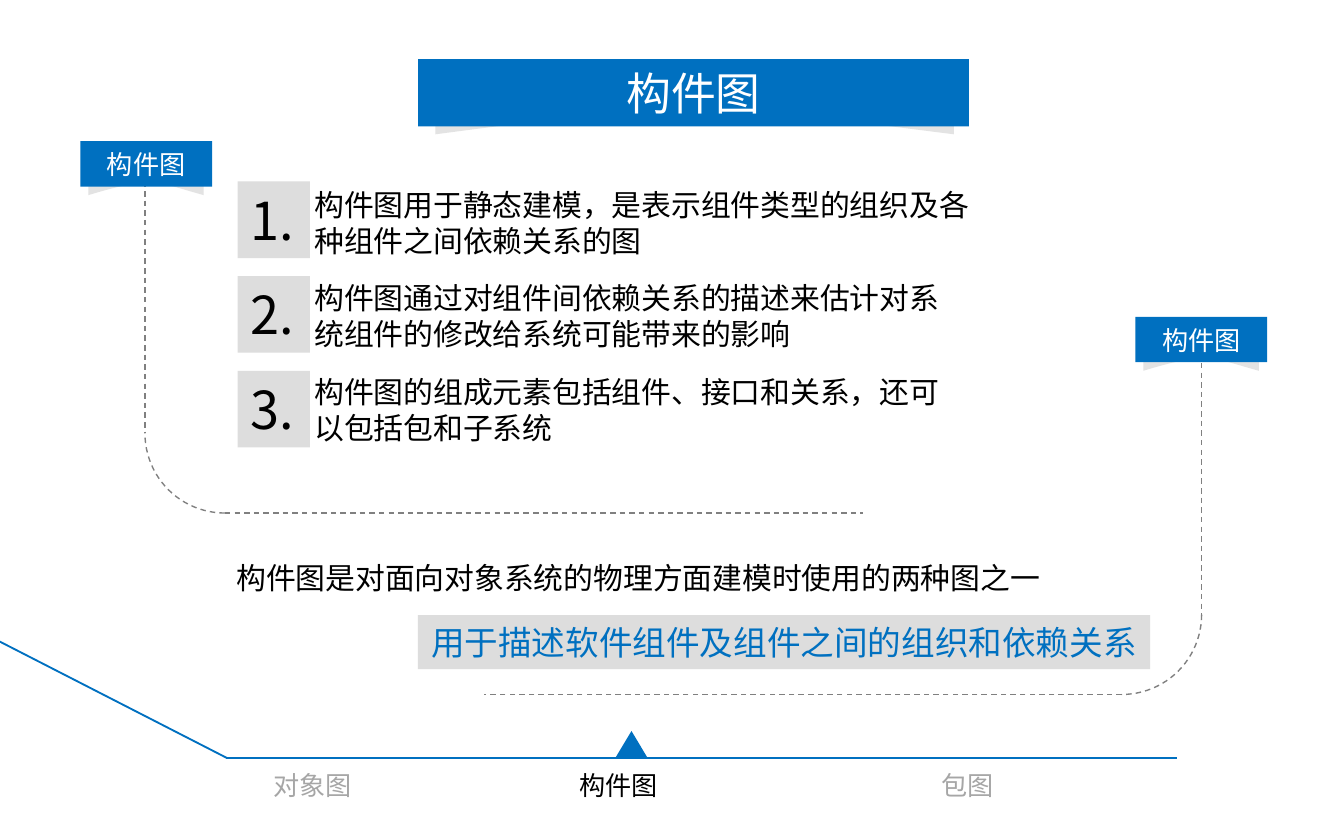
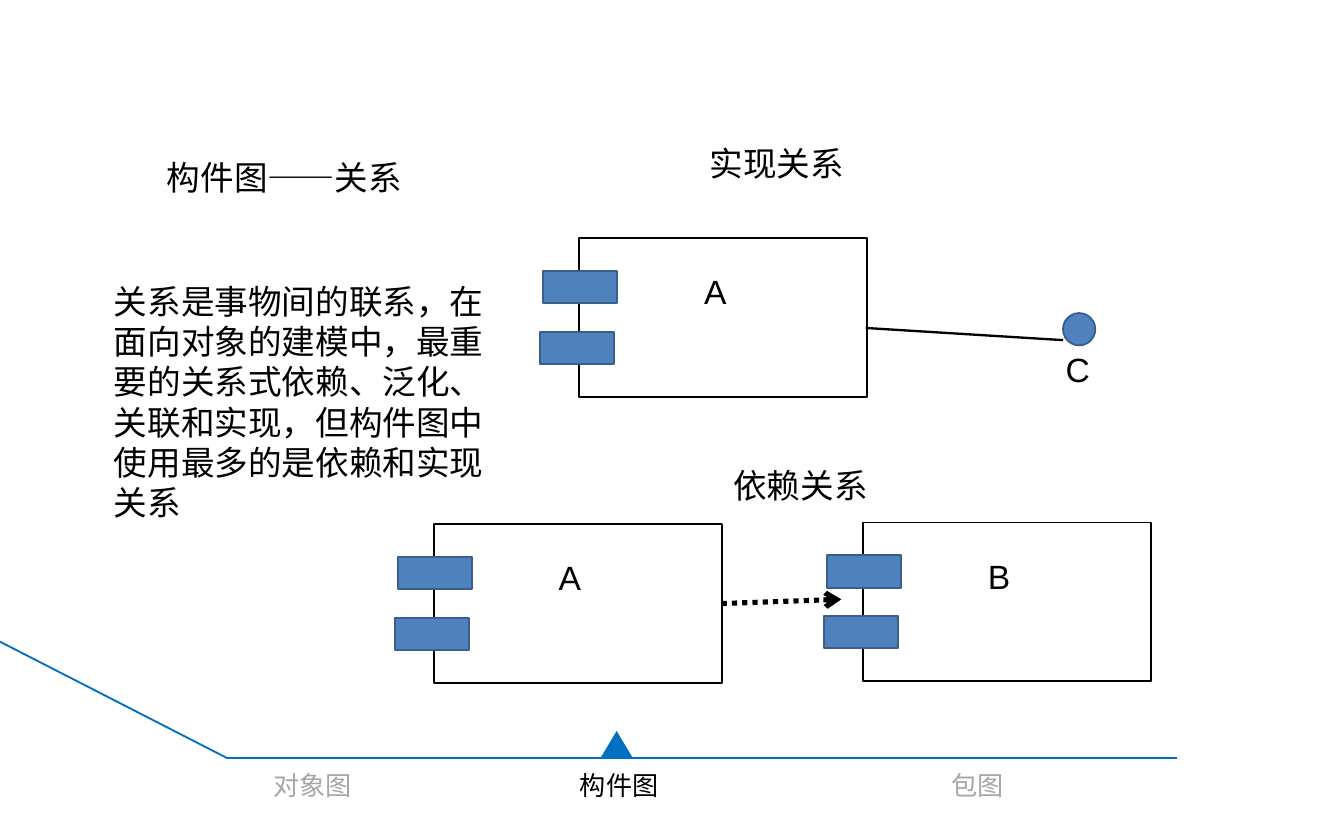
from pptx import Presentation
from pptx.dml.color import RGBColor
from pptx.enum.dml import MSO_LINE
from pptx.enum.shapes import MSO_CONNECTOR, MSO_SHAPE
from pptx.enum.text import MSO_ANCHOR, MSO_AUTO_SIZE, PP_ALIGN
from pptx.oxml.ns import qn
from pptx.util import Cm, Pt
from lxml.etree import SubElement

BLUE = RGBColor(0x00, 0x70, 0xC0)
GREY = RGBColor(0xDD, 0xDD, 0xDD)
MUTED = RGBColor(0xA6, 0xA6, 0xA6)
DASH = RGBColor(0x80, 0x80, 0x80)
BLACK = RGBColor(0, 0, 0)
WHITE = RGBColor(0xFF, 0xFF, 0xFF)
STEEL = RGBColor(0x4F, 0x81, 0xBD)
NAVY = RGBColor(0x3A, 0x5F, 0x8C)
KARLA, NOTO, ARIAL = "Karla", "Noto Sans CJK SC", "Arial"

# Content; places and sizes are in centimetres
TOPIC = "构件图"
POINTS = [
    "构件图用于静态建模，是表示组件类型的组织及各种组件之间依赖关系的图",
    "构件图通过对组件间依赖关系的描述来估计对系统组件的修改给系统可能带来的影响",
    "构件图的组成元素包括组件、接口和关系，还可以包括包和子系统",
]
WIDTHS = [13.21, 12.7, 12.7]
SUMMARY = "构件图是对面向对象系统的物理方面建模时使用的两种图之一"
PURPOSE = "用于描述软件组件及组件之间的组织和依赖关系"
HEADING = "构件图——关系"
BODY = ("关系是事物间的联系，在面向对象的建模中，最重要的关系式依赖、泛化、"
        "关联和实现，但构件图中使用最多的是依赖和实现关系")
# Footer steps: text, left, width
STEPS_1 = [("对象图", 3.71, 4.39), (TOPIC, 8.76, 5.87), ("包图", 15.29, 5.99)]
STEPS_2 = [("对象图", 3.71, 4.39), (TOPIC, 8.71, 5.99), ("包图", 15.54, 5.87)]
# Tags: left, top
TAGS = [(1.52, 2.67), (21.46, 5.99)]
# Brackets: side x, top, base y, far end x, arc start and end in degrees
CURVES = [(2.74, 3.43, 9.7, 16.31, 90, 180), (22.71, 6.86, 13.13, 9.14, 0, 90)]
RADIUS = 1.51


def write(shape, text, size, font=KARLA, color=BLACK, align=PP_ALIGN.LEFT,
          anchor=MSO_ANCHOR.TOP, wrap=True):
    frame = shape.text_frame
    frame.text = text
    frame.word_wrap = wrap
    frame.auto_size = MSO_AUTO_SIZE.NONE
    frame.vertical_anchor = anchor
    para = frame.paragraphs[0]
    para.alignment = align
    para.space_before = Pt(0)
    para.font.size, para.font.name = Pt(size), font
    para.font.color.rgb = color


def place(shape, x, y, w, h):
    shape.left, shape.top, shape.width, shape.height = map(Cm, (x, y, w, h))


def label(slide, text, x, y, w, h, size, **style):
    box = slide.shapes.add_textbox(Cm(x), Cm(y), Cm(w), Cm(h))
    write(box, text, size, **style)


def paint(shape, fill, edge=None):
    shape.shadow.inherit = False
    shape.fill.solid()
    shape.fill.fore_color.rgb = fill
    if edge is None:
        shape.line.fill.background()
    else:
        shape.line.color.rgb = edge
        shape.line.width = Pt(1)


def block(slide, kind, x, y, w, h, fill, edge=None):
    shape = slide.shapes.add_shape(kind, Cm(x), Cm(y), Cm(w), Cm(h))
    paint(shape, fill, edge)
    return shape


def stroke(slide, x1, y1, x2, y2, color, width, dash=None):
    line = slide.shapes.add_connector(
        MSO_CONNECTOR.STRAIGHT, Cm(x1), Cm(y1), Cm(x2), Cm(y2))
    line.line.color.rgb, line.line.width = color, Pt(width)
    if dash:
        line.line.dash_style = dash
    SubElement(line._element.spPr, qn("a:effectLst"))
    return line


def fold(slide, x, y, w, h):
    """Grey ribbon shadow whose lower edge is a cubic curve."""
    spots = [(1, 1), (0.57, 0.32), (0.57, 0.02), (0, 1)]
    edge = []
    for step in range(21):
        t = step / 20
        parts = [(1 - t) ** 3, 3 * t * (1 - t) ** 2, 3 * t * t * (1 - t), t ** 3]
        edge.append(tuple(sum(k * spot[axis] for k, spot in zip(parts, spots))
                          for axis in (0, 1)))
    dots = [(Cm(x + w * u), Cm(y + h * v)) for u, v in [(0, 0), (1, 0)] + edge]
    pen = slide.shapes.build_freeform(*dots[0])
    pen.add_line_segments(dots[1:], close=True)
    shape = pen.convert_to_shape()
    paint(shape, GREY)
    tint = shape._element.spPr.find(qn("a:solidFill"))[0]
    SubElement(tint, qn("a:alpha")).set("val", "80000")


def footer(slide, steps, mark):
    stroke(slide, -0.08, 12.09, 4.29, 14.33, BLUE, 1)
    stroke(slide, 4.27, 14.33, 22.25, 14.33, BLUE, 1)
    for text, x, w in steps:
        label(slide, text, x, 14.43, w, 0.86, 14, align=PP_ALIGN.CENTER,
              color=BLACK if text == TOPIC else MUTED)
    block(slide, MSO_SHAPE.ISOSCELES_TRIANGLE, mark, 13.82, 0.61, 0.51, BLUE)


def bracket(slide, side, top, base, end, start, stop):
    inner = side + RADIUS if end > side else side - RADIUS
    arc = slide.shapes.add_shape(
        MSO_SHAPE.ARC, Cm(inner - RADIUS), Cm(base - 2 * RADIUS),
        Cm(2 * RADIUS), Cm(2 * RADIUS))
    arc.shadow.inherit = False
    arc.fill.background()
    # Angles count in 60000ths of a degree, adjustments in 100000ths
    arc.adjustments[0], arc.adjustments[1] = start * 0.6, stop * 0.6
    arc.line.color.rgb, arc.line.width = DASH, Pt(0.75)
    arc.line.dash_style = MSO_LINE.DASH
    stroke(slide, side, top, side, base - RADIUS, DASH, 0.75, MSO_LINE.DASH)
    stroke(slide, inner, base, end, base, DASH, 0.75, MSO_LINE.DASH)


def module(slide, name, x, y):
    """UML component: a box with two tabs and a name."""
    rect = MSO_SHAPE.RECTANGLE
    box = block(slide, rect, x, y, 5.44, 3, WHITE, BLACK)
    for dx, dy in [(-0.68, 0.62), (-0.74, 1.77)]:
        block(slide, rect, x + dx, y + dy, 1.4, 0.61, STEEL, NAVY)
    label(slide, name, x + 2.11, y + 0.5, 1.6, 1.02, 18, font=ARIAL)
    return box


def intro(deck):
    slide = deck.slides.add_slide(deck.slide_layouts[5])
    rect = MSO_SHAPE.RECTANGLE
    mid = {"align": PP_ALIGN.CENTER, "anchor": MSO_ANCHOR.MIDDLE}
    for x, y in TAGS:
        fold(slide, x + 0.15, y + 0.64, 2.18, 0.38)
    footer(slide, STEPS_1, 11.63)

    # Title ribbon, in front of its fold
    fold(slide, 8.23, 1.78, 9.8, 0.76)
    title = slide.shapes.title
    slide.shapes._spTree.append(title._element)
    place(title, 7.9, 1.12, 10.41, 1.27)
    paint(title, BLUE)
    write(title, TOPIC, 24, font=NOTO, color=WHITE, **mid)

    # Numbered points
    for i, (text, w) in enumerate(zip(POINTS, WIDTHS)):
        label(slide, text, 5.69, 3.4 + 1.77 * i, w, 1.63, 16)
        box = block(slide, rect, 4.49, 3.43 + 1.79 * i, 1.37, 1.45, GREY)
        write(box, f"{i + 1}.", 28, font=NOTO, wrap=False)

    # Dashed brackets and their tags
    for curve in CURVES:
        bracket(slide, *curve)
    for x, y in TAGS:
        tag = block(slide, rect, x, y, 2.49, 0.86, BLUE)
        write(tag, TOPIC, 14, font=NOTO, color=WHITE, **mid)

    # Summary
    label(slide, SUMMARY, 4.22, 10.46, 15.82, 0.94, 16)
    box = block(slide, rect, 7.9, 11.63, 13.84, 1.02, GREY)
    write(box, PURPOSE, 18, color=BLUE, wrap=False)


def links(deck):
    slide = deck.slides.add_slide(deck.slide_layouts[1])
    footer(slide, STEPS_2, 11.35)

    # Title and explanation
    title, body = slide.shapes.title, slide.placeholders[1]
    place(title, 2.9, 2.84, 5.13, 1.02)
    write(title, HEADING, 18)
    place(body, 1.9, 5.18, 7.8, 4.88)
    write(body, BODY, 18, font=ARIAL)
    props = body.text_frame.paragraphs[0]._p.get_or_add_pPr()
    props.set("marL", "0")
    props.set("indent", "0")
    props.insert_element_before(
        props.makeelement(qn("a:buNone"), {}), "a:tabLst", "a:defRPr")

    # Dependency
    label(slide, "依赖关系", 13.61, 8.66, 6.88, 1.02, 18, font=ARIAL)
    user = module(slide, "A", 8.2, 9.91)
    arrow = stroke(slide, 13.64, 11.41, 15.9, 11.33, BLACK, 2.75,
                   MSO_LINE.ROUND_DOT)
    arrow.begin_connect(user, 3)
    SubElement(arrow.line._get_or_add_ln(), qn("a:tailEnd")).set("type", "arrow")
    module(slide, "B", 16.31, 9.88)

    # Realisation
    label(slide, "实现关系", 13.16, 2.57, 8.61, 1.02, 18, font=ARIAL)
    module(slide, "A", 10.95, 4.5)
    block(slide, MSO_SHAPE.OVAL, 20.09, 5.92, 0.61, 0.61, STEEL, NAVY)
    label(slide, "C", 19.89, 6.48, 1.63, 1.02, 18, font=ARIAL)
    stroke(slide, 16.36, 6.2, 20.09, 6.43, BLACK, 1.25)


def main():
    deck = Presentation()
    deck.slide_width, deck.slide_height = Cm(25.4), Cm(15.88)
    intro(deck)
    links(deck)
    deck.save("out.pptx")


if __name__ == "__main__":
    main()
